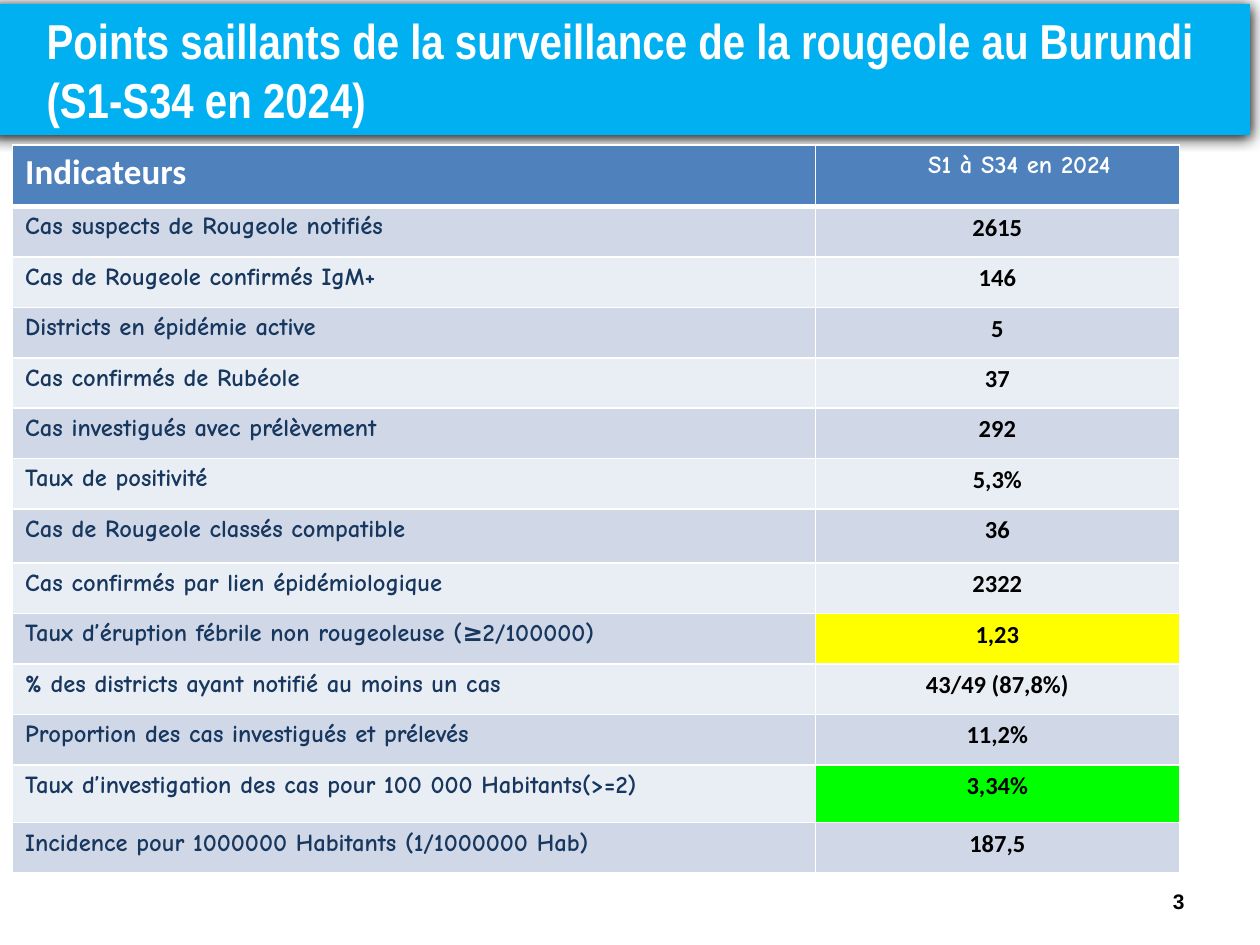
from dataclasses import dataclass

from pptx import Presentation
from pptx.dml.color import RGBColor
from pptx.enum.text import MSO_ANCHOR as Anchor, MSO_AUTO_SIZE as AutoSize, PP_ALIGN as Align
from pptx.oxml import parse_xml
from pptx.oxml.ns import nsdecls, qn
from pptx.util import Inches, Pt


@dataclass(frozen=True)
class Theme:
    banner: str = "00B0F0"
    header: str = "4F81BD"
    bands: tuple = ("D0D8E8", "E9EDF4")
    warning: str = "FFFF00"
    success: str = "00FF00"
    white: str = "FFFFFF"
    black: str = "000000"
    navy: str = "17375E"
    title_font: str = "Arial Narrow"
    label_font: str = "Comic Neue"
    value_font: str = "Calibri"
    number_font: str = "Arial"
    title_size: int = 28
    header_size: int = 20
    body_size: int = 14
    number_size: int = 12


THEME = Theme()

TITLE = ("Points saillants de la surveillance de la rougeole au Burundi", "(S1-S34 en 2024)")
HEADINGS = ("Indicateurs", "S1 à S34 en 2024")
# Indicator, value, row height in inches, highlight of the value
INDICATORS = [
    ("Cas suspects de Rougeole notifiés", "2615", 0.4, None),
    ("Cas de Rougeole confirmés IgM+", "146", 0.4, None),
    ("Districts en épidémie active", "5", 0.4, None),
    ("Cas confirmés de Rubéole", "37", 0.4, None),
    ("Cas investigués avec prélèvement", "292", 0.4, None),
    ("Taux de positivité", "5,3%", 0.4, None),
    ("Cas de Rougeole classés compatible", "36", 0.43, None),
    ("Cas confirmés par lien épidémiologique", "2322", 0.4, None),
    ("Taux d’éruption fébrile non rougeoleuse (≥2/100000)", "1,23", 0.4, THEME.warning),
    ("% des districts ayant notifié au moins un cas", "43/49 (87,8%)", 0.4, None),
    ("Proportion des cas investigués et prélevés", "11,2%", 0.4, None),
    ("Taux d’investigation des cas pour 100 000 Habitants(>=2)", "3,34%", 0.46, THEME.success),
    ("Incidence pour 1000000 Habitants (1/1000000 Hab)", "187,5", 0.4, None),
]
HEADER_HEIGHT = 0.49
VALUE_SHARE = 0.312


def write(frame, *lines, font, size, color, align=Align.LEFT, indent=0):
    """Fill a text frame with one bold paragraph per line."""
    for index, line in enumerate(lines):
        paragraph = frame.paragraphs[0] if index == 0 else frame.add_paragraph()
        paragraph.alignment = align
        paragraph.space_before = Pt(0)
        if indent:
            properties = paragraph._p.get_or_add_pPr()
            properties.set("marL", str(Inches(indent)))
            properties.set("indent", "0")
        run = paragraph.add_run()
        run.text = line
        run.font.name = font
        run.font.size = Pt(size)
        run.font.bold = True
        run.font.color.rgb = RGBColor.from_string(color)


def place(shape, box):
    shape.left, shape.top, shape.width, shape.height = map(Inches, box)


def add_shadow(shape):
    shape.shadow.inherit = False
    effects = shape._element.spPr.find(qn("a:effectLst"))
    effects.append(parse_xml(
        f'<a:outerShdw {nsdecls("a")} blurRad="{Pt(8.5)}" dist="{Pt(1)}" dir="5400000" '
        f'algn="t" rotWithShape="0"><a:srgbClr val="{THEME.black}"/></a:outerShdw>'))


def build_banner(slide, box):
    banner = slide.shapes.title
    place(banner, box)
    banner.fill.solid()
    banner.fill.fore_color.rgb = RGBColor.from_string(THEME.banner)
    banner.line.fill.background()
    add_shadow(banner)
    frame = banner.text_frame
    frame.auto_size = AutoSize.NONE
    frame.word_wrap = True
    frame.vertical_anchor = Anchor.MIDDLE
    write(frame, *TITLE, font=THEME.title_font, size=THEME.title_size,
          color=THEME.white, indent=0.35)


def paint_cell(cell, fill, bottom=1):
    """Set the fill and the white borders of a cell."""
    cell.fill.solid()
    cell.fill.fore_color.rgb = RGBColor.from_string(fill)
    widths = {"lnL": 1, "lnR": 1, "lnT": 1, "lnB": bottom}
    for position, (side, width) in enumerate(widths.items()):
        cell._tc.get_or_add_tcPr().insert(position, parse_xml(
            f'<a:{side} {nsdecls("a")} w="{Pt(width)}"><a:solidFill>'
            f'<a:srgbClr val="{THEME.white}"/></a:solidFill></a:{side}>'))


def build_indicators(slide, box):
    left, top, width, height = map(Inches, box)
    table = slide.shapes.add_table(len(INDICATORS) + 1, 2, left, top, width, height).table
    table.columns[1].width = int(width * VALUE_SHARE)
    table.columns[0].width = width - table.columns[1].width

    table.rows[0].height = Inches(HEADER_HEIGHT)
    heading, period = table.cell(0, 0), table.cell(0, 1)
    for cell in (heading, period):
        paint_cell(cell, THEME.header, bottom=3)
    write(heading.text_frame, HEADINGS[0], font=THEME.value_font,
          size=THEME.header_size, color=THEME.white)
    write(period.text_frame, HEADINGS[1], font=THEME.label_font,
          size=THEME.body_size, color=THEME.white, align=Align.CENTER, indent=0.35)

    for row, (label, value, row_height, highlight) in enumerate(INDICATORS, start=1):
        table.rows[row].height = Inches(row_height)
        band = THEME.bands[(row - 1) % 2]
        label_cell, value_cell = table.cell(row, 0), table.cell(row, 1)
        paint_cell(label_cell, band, bottom=1)
        paint_cell(value_cell, highlight or band)
        write(label_cell.text_frame, label, font=THEME.label_font,
              size=THEME.body_size, color=THEME.navy)
        write(value_cell.text_frame, value, font=THEME.value_font,
              size=THEME.body_size, color=THEME.black, align=Align.CENTER)


def build_page_number(slide, box):
    frame = slide.shapes.add_textbox(*map(Inches, box)).text_frame
    frame.word_wrap = True
    frame.vertical_anchor = Anchor.MIDDLE
    write(frame, "3", font=THEME.number_font, size=THEME.number_size,
          color=THEME.black, align=Align.RIGHT)


def main():
    deck = Presentation()
    deck.slide_width, deck.slide_height = Inches(10), Inches(7.5)
    title_only = deck.slide_layouts[5]
    slide = deck.slides.add_slide(title_only)
    build_page_number(slide, (7.17, 6.95, 2.33, 0.4))
    build_banner(slide, (-0.08, 0.03, 10, 1.04))
    build_indicators(slide, (0.1, 1.15, 9.26, 5.73))
    deck.save("out.pptx")


if __name__ == "__main__":
    main()
